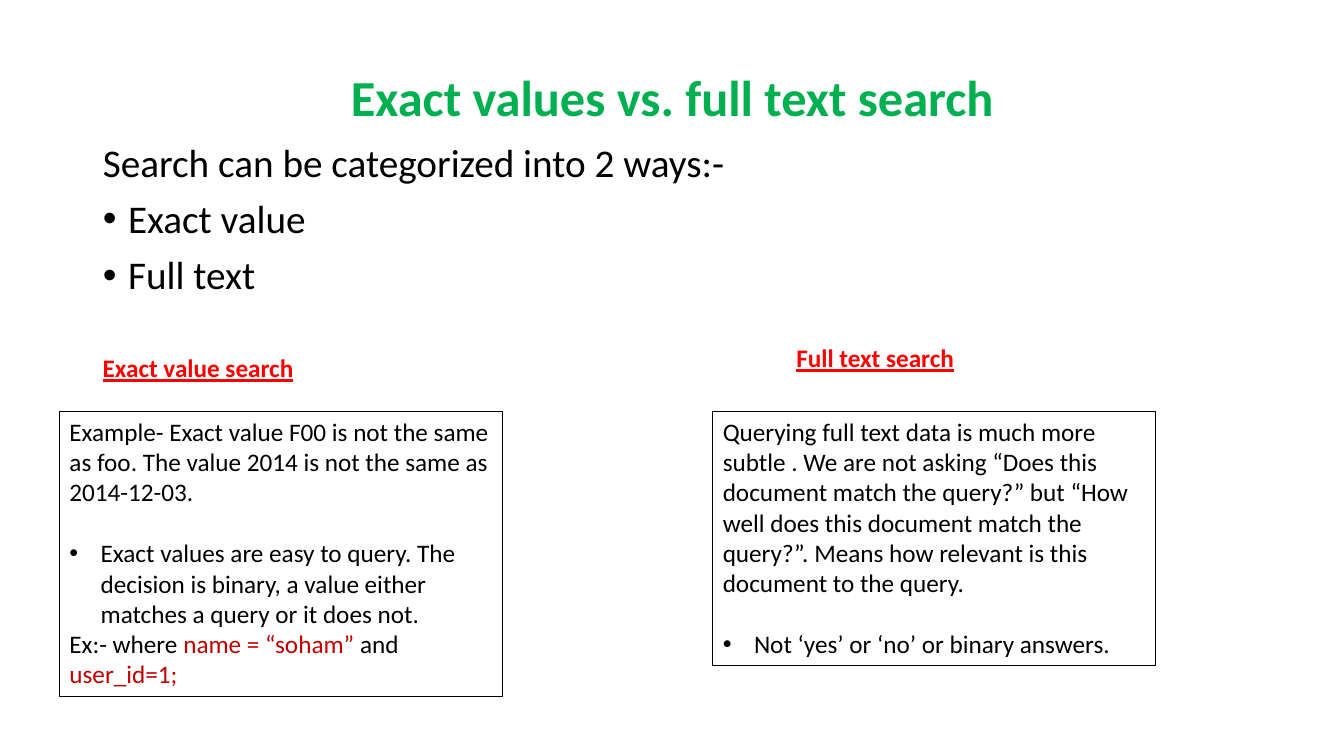
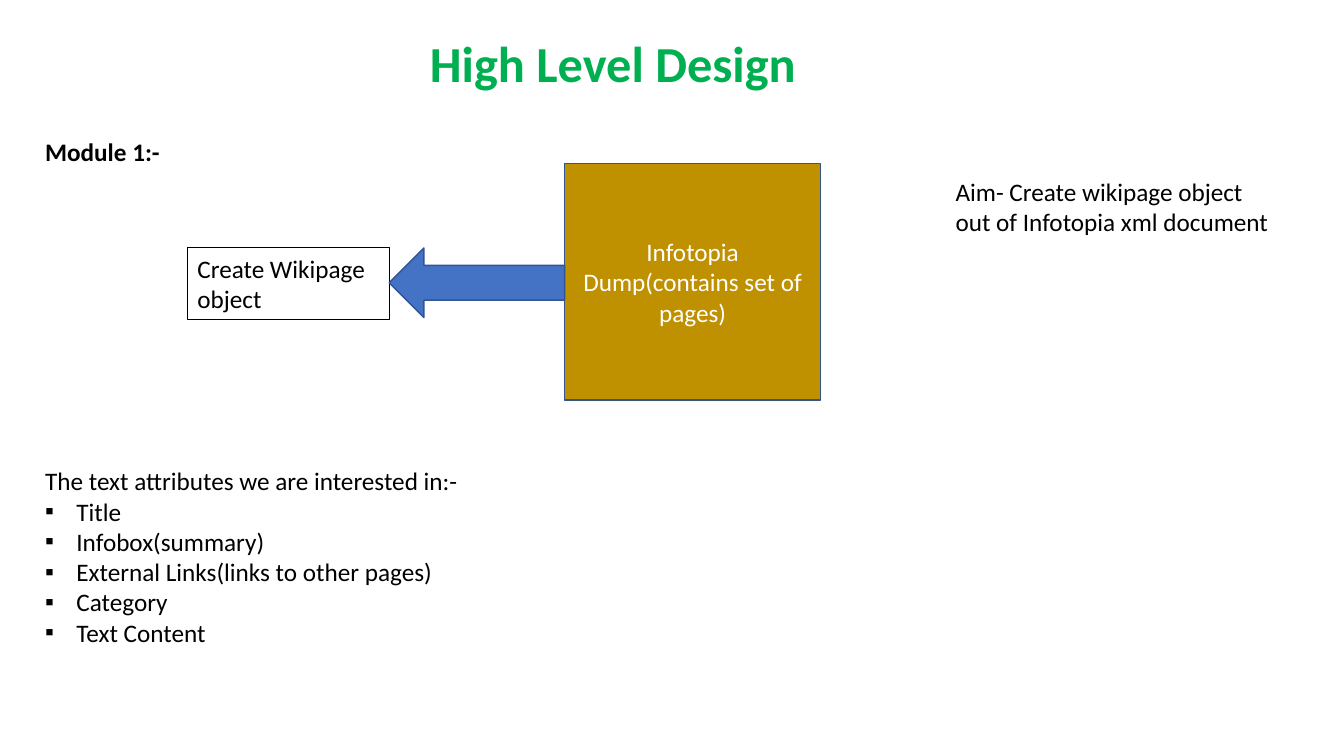
from lxml import etree
from pptx import Presentation
from pptx.dml.color import RGBColor
from pptx.enum.shapes import MSO_SHAPE
from pptx.enum.text import MSO_ANCHOR, MSO_AUTO_SIZE, PP_ALIGN
from pptx.oxml.ns import qn
from pptx.util import Inches, Pt

FONT = "Calibri"
BLACK, WHITE, RED, DARK_RED = "000000", "FFFFFF", "FF0000", "C00000"
GREEN, GOLD, BLUE, OUTLINE = "00B050", "BF9000", "4472C4", "325491"
CENTER, MIDDLE, TOP = PP_ALIGN.CENTER, MSO_ANCHOR.MIDDLE, MSO_ANCHOR.TOP
TITLE_LAYOUT, CONTENT_LAYOUT = 5, 1
BLANK_LINE = 22
DOT, SQUARE = "•", "▪"


def color(hex_code):
    return RGBColor.from_string(hex_code)


def write(shape, lines, size=18, ink=BLACK, bold=False, underline=False,
          align=PP_ALIGN.LEFT, anchor=TOP, indent=0.31, line_spacing=1, gap=0):
    """Fill a shape; each line is (bullet, space before, text or (text, ink) runs)."""
    frame = shape.text_frame
    frame.word_wrap = True
    frame.auto_size = MSO_AUTO_SIZE.NONE
    frame.vertical_anchor = anchor
    for index, (bullet, before, content) in enumerate(lines):
        para = frame.paragraphs[0] if index == 0 else frame.add_paragraph()
        properties = para._p.get_or_add_pPr()
        hang = Inches(indent) if bullet else 0
        properties.set("marL", str(hang))
        properties.set("indent", str(-hang))
        if bullet:
            etree.SubElement(properties, qn("a:buFont")).set("typeface", "Arial")
            etree.SubElement(properties, qn("a:buChar")).set("char", bullet)
        else:
            etree.SubElement(properties, qn("a:buNone"))
        para.alignment = align
        para.line_spacing = line_spacing
        para.space_before = Pt((before or gap) if index else 0)
        pieces = [(content, ink)] if isinstance(content, str) else content
        for text, piece_ink in pieces:
            span = para.add_run()
            span.text = text
            span.font.name = FONT
            span.font.size = Pt(size)
            span.font.bold = bold
            span.font.underline = underline
            span.font.color.rgb = color(piece_ink)


deck = Presentation()
deck.slide_width, deck.slide_height = Inches(13.33), Inches(7.5)

# Titles of both slides
pages = []
for layout, heading, left, top, height in [
    (CONTENT_LAYOUT, "Exact values vs. full text search", 0.92, 0.4, 1.19),
    (TITLE_LAYOUT, "High Level Design", 0.33, 0.17, 0.97),
]:
    page = deck.slides.add_slide(deck.slide_layouts[layout])
    title = page.shapes.title
    title.left, title.top = Inches(left), Inches(top)
    title.width, title.height = Inches(11.5), Inches(height)
    write(title, [("", 0, heading)], size=36, ink=GREEN, bold=True,
          align=CENTER, anchor=MIDDLE, line_spacing=0.9)
    pages.append(page)
search_page, design_page = pages

# Kinds of search
body = search_page.placeholders[1]
body.left, body.top = Inches(0.92), Inches(1.37)
body.width, body.height = Inches(11.5), Inches(1.7)
write(body, [
    ("", 0, "Search can be categorized into 2 ways:-"),
    (DOT, 0, "Exact value"),
    (DOT, 0, "Full text"),
], size=28, indent=0.25, line_spacing=0.9, gap=10)

exact_lines = [
    ("", 0, "Example- Exact value F00 is not the same as foo. "
            "The value 2014 is not the same as 2014-12-03."),
    (DOT, BLANK_LINE, "Exact values are easy to query. The decision is binary, "
                      "a value either matches a query or it does not."),
    ("", 0, [("Ex:- where ", BLACK), ("name = “soham” ", DARK_RED),
             ("and ", BLACK), ("user_id=1;", DARK_RED)]),
]
full_text_lines = [
    ("", 0, "Querying full text data is much more subtle . We are not asking "
            "“Does this document match the query?” but “How well does this "
            "document match the query?”. Means how relevant is this document "
            "to the query."),
    (DOT, BLANK_LINE, "Not ‘yes’ or ‘no’ or binary answers."),
]
label_style = {"ink": RED, "bold": True, "underline": True}

# Every text box: page, left, top, width, height, framed, lines, style
for page, left, top, width, height, framed, lines, style in [
    (search_page, 0.92, 3.45, 2.2, 0.4, False,
     [("", 0, "Exact value search")], label_style),
    (search_page, 0.59, 4.08, 4.39, 2.83, True, exact_lines, {}),
    (search_page, 7.8, 3.35, 2.2, 0.4, False,
     [("", 0, "Full text search")], label_style),
    (search_page, 7.07, 4.08, 4.39, 2.52, True, full_text_lines, {}),
    (design_page, 0.35, 1.3, 4.27, 0.4, False,
     [("", 0, "Module 1:-")], {"bold": True}),
    (design_page, 1.86, 2.46, 2, 0.71, True,
     [("", 0, "Create Wikipage object")], {}),
    (design_page, 0.35, 4.57, 8.54, 1.92, False,
     [("", 0, "The text attributes we are interested in:-")]
     + [(SQUARE, 0, name) for name in (
         "Title", "Infobox(summary)", "External Links(links to other pages)",
         "Category", "Text Content")], {}),
    (design_page, 9.38, 1.7, 3.4, 1.01, False,
     [("", 0, "Aim- Create wikipage object out of Infotopia xml document")], {}),
]:
    box = page.shapes.add_textbox(
        Inches(left), Inches(top), Inches(width), Inches(height))
    if framed:
        box.line.color.rgb = color(BLACK)
        box.line.width = Pt(0.75)
    write(box, lines, **style)

# Dump block and the arrow to the page object
for kind, left, top, width, height, fill, text in [
    (MSO_SHAPE.RECTANGLE, 5.6, 1.62, 2.54, 2.35, GOLD,
     "Infotopia Dump(contains set of pages)"),
    (MSO_SHAPE.LEFT_ARROW, 3.86, 2.46, 1.74, 0.69, BLUE, ""),
]:
    block = design_page.shapes.add_shape(
        kind, Inches(left), Inches(top), Inches(width), Inches(height))
    block.shadow.inherit = False
    block.fill.solid()
    block.fill.fore_color.rgb = color(fill)
    block.line.color.rgb = color(OUTLINE)
    block.line.width = Pt(1)
    if text:
        write(block, [("", 0, text)], ink=WHITE, align=CENTER, anchor=MIDDLE)

deck.save("out.pptx")
